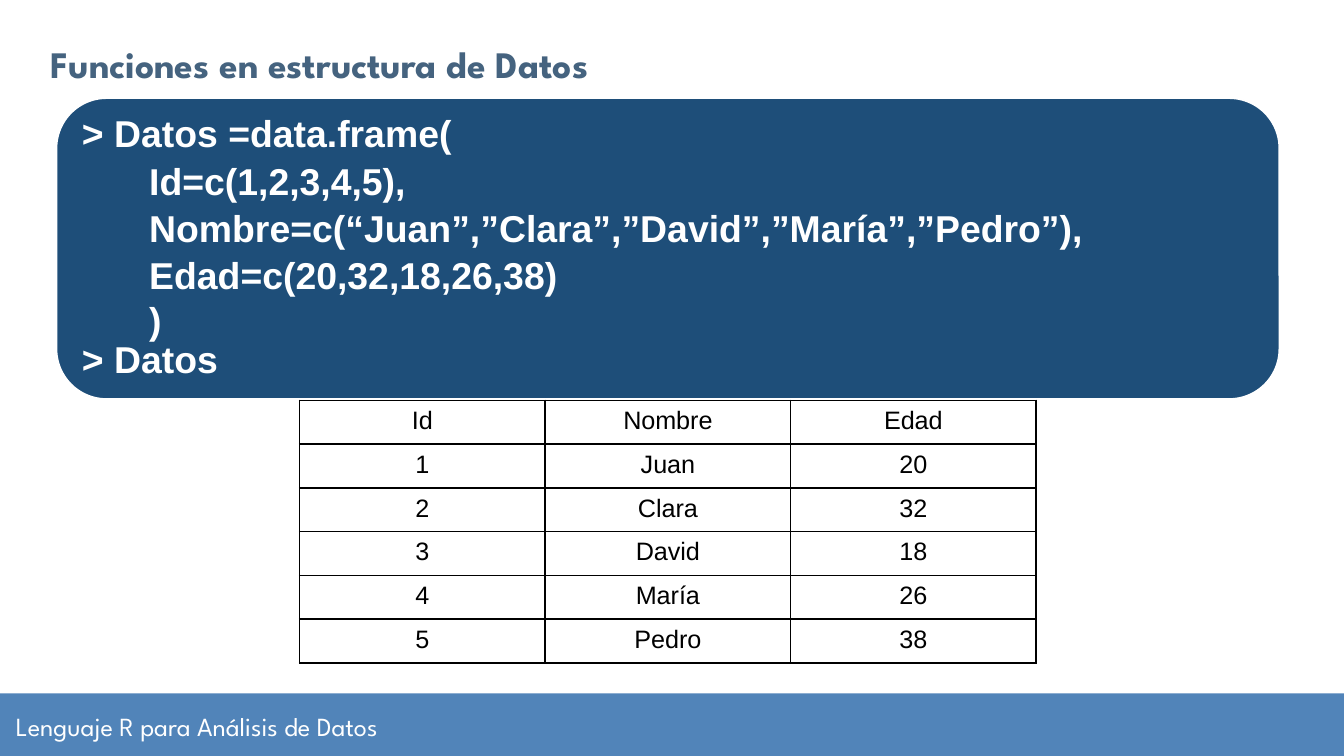
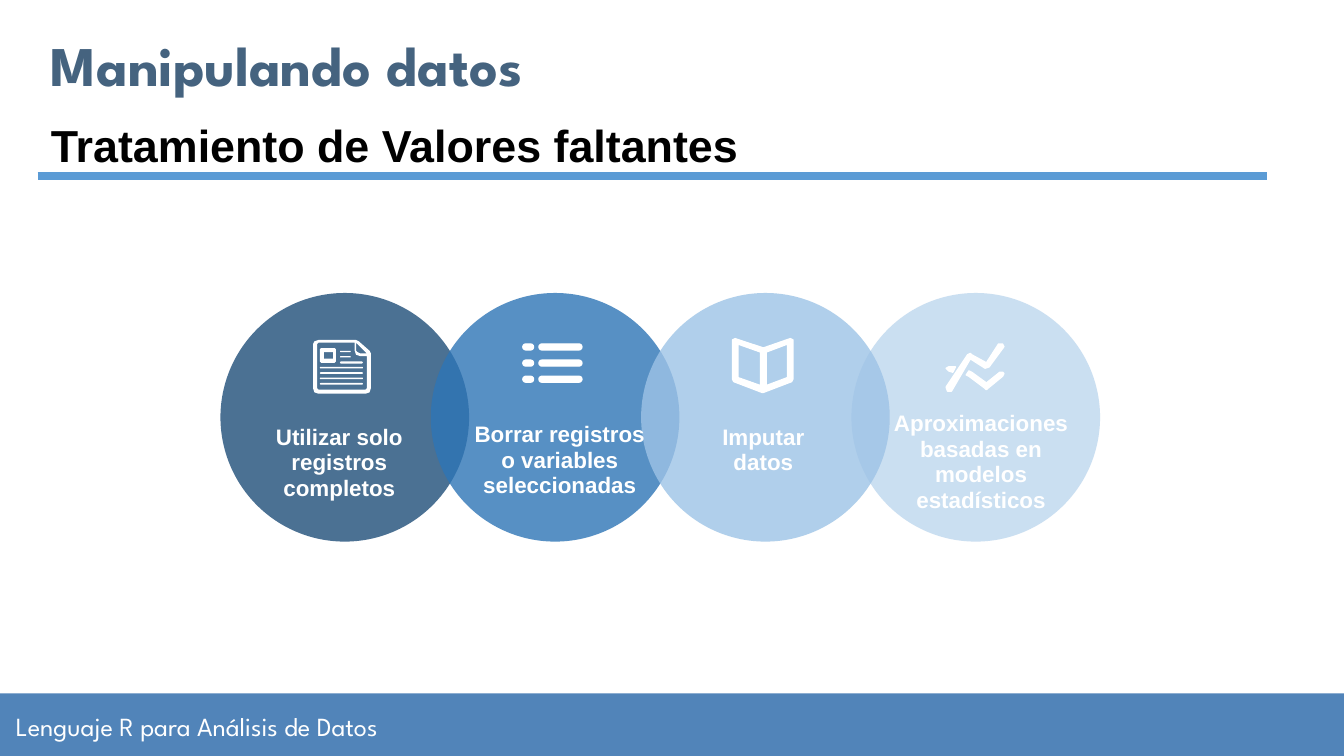
from dataclasses import dataclass
from typing import Any

from lxml.etree import SubElement as Sub
from pptx import Presentation
from pptx.dml.color import RGBColor as Rgb
from pptx.enum.shapes import MSO_CONNECTOR as Link, MSO_SHAPE as Kind
from pptx.enum.text import MSO_ANCHOR as Anchor, PP_ALIGN as Align
from pptx.oxml.ns import qn
from pptx.util import Emu, Inches, Pt

WIDE, HIGH = Inches(10), Inches(5.625)
CELL = WIDE / 100
DOT = WIDE / 1000
WHITE, BLACK = "FFFFFF", "000000"
BAND, TITLE, PANEL, RULE = "5184B9", "45637F", "1E4E79", "5B9BD5"
SANS, HEAD = "Arial", "League Spartan"

Point = tuple[float, float]
Box = tuple[float, float, float, float]


@dataclass
class Style:
    size: float
    color: str
    face: str = SANS
    bold: bool = True
    align: Any = Align.LEFT
    anchor: Any = Anchor.TOP
    inset: Point = (1, 0.5)


@dataclass
class Icon:
    spot: Point
    paths: tuple[tuple[Point, ...], ...] = ()
    bars: tuple[Box, ...] = ()
    edge: float = 0


@dataclass
class Disc:
    color: str
    box: Box
    lines: tuple[str, ...]
    icon: Icon


FOOT = Style(14, WHITE, HEAD, False, anchor=Anchor.MIDDLE, inset=(1, 1))
CODE = Style(20, WHITE, anchor=Anchor.MIDDLE, inset=(0.8, 0.8))
SUBHEAD = Style(24, BLACK)
NOTE = Style(12, WHITE, align=Align.CENTER, inset=(0.7, 0.4))
DATA = Style(13.5, BLACK, bold=False, align=Align.CENTER)

SCRIPT = (
    ("> Datos =data.frame(", 0.9),
    ("\tId=c(1,2,3,4,5),", 1.05),
    ("\tNombre=c(“Juan”,”Clara”,”David”,”María”,”Pedro”),", 1.05),
    ("\tEdad=c(20,32,18,26,38)", 1.05),
    ("\t)", 1.0),
    ("> Datos", 0.9),
)
PEOPLE = (
    ("Id", "Nombre", "Edad"),
    ("1", "Juan", "20"),
    ("2", "Clara", "32"),
    ("3", "David", "18"),
    ("4", "María", "26"),
    ("5", "Pedro", "38"),
)

NEWS = Icon(
    (23.3, 25.3),
    (
        ((4, 0), (32, 0), (34, 1), (42, 8), (43, 10), (43, 36), (42, 39),
         (39, 40), (4, 40), (1, 39), (0, 36), (0, 3), (1, 1)),
        ((3, 3), (4, 2), (31, 2), (31, 8), (32, 11), (35, 12), (40, 12),
         (40, 36), (39, 37), (4, 37), (3, 36)),
        ((32, 2), (40, 10), (35, 10), (33, 9), (32, 8)),
        ((6, 6), (16, 6), (17, 7), (17, 16), (16, 17), (6, 17), (5, 16), (5, 7)),
        ((8, 9), (15, 9), (15, 14), (8, 14)),
    ),
    ((20, 8, 8, 1), (20, 12, 8, 1), (20, 16, 17, 1.5),
     *((5, 20 + 4 * row, 32, 1.2) for row in range(4))),
)
LIST = Icon(
    (38.9, 25.6),
    bars=tuple((left, 12 * row, wide, 4.4)
               for row in range(3) for left, wide in ((0, 8), (12, 32))),
    edge=0.75,
)
BOOK = Icon(
    (54.5, 25.2),
    (
        ((0, 1), (2, 0), (23, 7), (43, 0), (45, 1), (45, 30), (44, 32),
         (23, 40), (22, 40), (1, 32), (0, 30)),
        ((21, 35), (21, 10), (4, 4), (4, 29)),
        ((41, 4), (25, 10), (25, 35), (41, 29)),
    ),
    edge=0.75,
)
TREND = Icon(
    (70.4, 25.5),
    (
        ((2, 21), (5, 22), (7, 18), (2, 18), (0, 19)),
        ((40, 22), (30, 30), (19, 22), (17, 21), (15, 24), (17, 25), (29, 34),
         (30, 35), (31, 34), (42, 25), (43, 23), (42, 22)),
        ((18, 12), (29, 19), (32, 18), (43, 3), (42, 1), (39, 1), (30, 15),
         (19, 9), (18, 8), (16, 9), (0, 33), (1, 36), (4, 36)),
    ),
    edge=0.75,
)
DISCS = (
    Disc("1F4E79", (17.9, 31.2, 14.7, 6.5),
         ("Utilizar solo registros completos",), NEWS),
    Disc("2E75B6", (34.4, 31, 14.5, 6.5),
         ("Borrar registros o variables seleccionadas",), LIST),
    Disc("9DC3E6", (49.8, 31.2, 14, 4.6), ("Imputar", "datos"), BOOK),
    Disc("BDD7EE", (65, 30.2, 16, 8.4),
         ("Aproximaciones basadas en modelos estadísticos",), TREND),
)
STACK = (0, 1, 3, 2)


def grid(*units: float) -> list[Emu]:
    return [Emu(round(unit * CELL)) for unit in units]


def tint(code: str) -> Rgb:
    return Rgb.from_string(code)


def paint(shape: Any, code: str, edge: float = 0, alpha: int = 100) -> None:
    shape.shadow.inherit = False
    shape.fill.solid()
    shape.fill.fore_color.rgb = tint(code)
    if alpha < 100:
        node = shape.element.spPr.find(".//" + qn("a:srgbClr"))
        Sub(node, qn("a:alpha"), val=str(alpha * 1000))
    if edge:
        shape.line.color.rgb = tint(WHITE)
        shape.line.width = Pt(edge)
    else:
        shape.line.fill.background()


def block(slide: Any, kind: Any, box: Box, code: str,
          edge: float = 0, alpha: int = 100) -> Any:
    shape = slide.shapes.add_shape(kind, *grid(*box))
    paint(shape, code, edge, alpha)
    return shape


def dress(par: Any, style: Style, space: float = 1) -> None:
    par.alignment = style.align
    if space != 1:
        par.line_spacing = space
    font = par.font
    font.size, font.name, font.bold = Pt(style.size), style.face, style.bold
    font.color.rgb = tint(style.color)


def label(slide: Any, box: Box, lines: tuple[tuple[str, float], ...],
          style: Style) -> None:
    frame = slide.shapes.add_textbox(*grid(*box)).text_frame
    frame.word_wrap = True
    frame.vertical_anchor = style.anchor
    side, top = grid(*style.inset)
    frame.margin_left = frame.margin_right = side
    frame.margin_top = frame.margin_bottom = top
    frame.text = "\n".join(text for text, _ in lines)
    for par, (_, space) in zip(frame.paragraphs, lines):
        dress(par, style, space)


def page(deck: Any, title: str, size: float, wide: float) -> Any:
    slide = deck.slides.add_slide(deck.slide_layouts[6])
    block(slide, Kind.RECTANGLE, (0, 51.6, 100, 4.65), BAND)
    label(slide, (0.2, 51.7, 49.7, 4.7),
          (("Lenguaje R para Análisis de Datos", 1),), FOOT)
    style = Style(size, TITLE, HEAD, anchor=Anchor.MIDDLE, inset=(1, 1))
    label(slide, (2.8, 2.2, wide, 5.1), ((title, 1),), style)
    return slide


def border(cell: Any) -> None:
    props = cell._tc.get_or_add_tcPr()
    for at, side in enumerate(("lnL", "lnR", "lnT", "lnB")):
        line = props.makeelement(qn("a:" + side), {"w": str(Pt(1))})
        Sub(Sub(line, qn("a:solidFill")), qn("a:srgbClr"), val=BLACK)
        props.insert(at, line)


def table(slide: Any, box: Box, rows: tuple[tuple[str, ...], ...]) -> None:
    area = slide.shapes.add_table(len(rows), len(rows[0]), *grid(*box))
    body = area.table
    body.first_row = body.horz_banding = False
    for r, row in enumerate(rows):
        for c, text in enumerate(row):
            cell = body.cell(r, c)
            cell.text = text
            cell.fill.background()
            dress(cell.text_frame.paragraphs[0], DATA)
            border(cell)


def draw(slide: Any, icon: Icon) -> None:
    x, y = icon.spot
    if icon.paths:
        first, *rest = icon.paths
        pen = slide.shapes.build_freeform(*first[0], scale=DOT)
        pen.add_line_segments(first[1:])
        for path in rest:
            pen.move_to(*path[0])
            pen.add_line_segments(path[1:])
        paint(pen.convert_to_shape(*grid(x, y)), WHITE, icon.edge)
    for left, top, wide, high in icon.bars:
        box = (x + left / 10, y + top / 10, wide / 10, high / 10)
        bar = block(slide, Kind.ROUNDED_RECTANGLE, box, WHITE, icon.edge)
        bar.adjustments[0] = 0.5


def rule(slide: Any, left: float, right: float, top: float) -> None:
    line = slide.shapes.add_connector(Link.STRAIGHT, *grid(left, top, right, top))
    line.line.color.rgb = tint(RULE)
    line.line.width = Pt(4.5)
    Sub(line.element.spPr, qn("a:effectLst"))


def frames(deck: Any) -> None:
    slide = page(deck, "Funciones en estructura de Datos", 20, 85.6)
    block(slide, Kind.ROUNDED_RECTANGLE, (4.2, 7.3, 91, 22.4), PANEL, 1)
    label(slide, (5.3, 8.4, 88.8, 20.2), SCRIPT, CODE)
    table(slide, (22.3, 29.8, 54.8, 18.75), PEOPLE)


def missing(deck: Any) -> None:
    slide = page(deck, "Manipulando datos", 30, 65.9)
    label(slide, (2.8, 8.3, 93.5, 5),
          (("Tratamiento de Valores faltantes", 1),), SUBHEAD)
    rule(slide, 2.8, 94.3, 13.1)
    for spot in STACK:
        box = (16.4 + 15.65 * spot, 21.8, 18.5, 18.5)
        block(slide, Kind.OVAL, box, DISCS[spot].color, alpha=80)
    for disc in DISCS:
        label(slide, disc.box, tuple((text, 0.95) for text in disc.lines), NOTE)
        draw(slide, disc.icon)


def main() -> None:
    deck = Presentation()
    deck.slide_width, deck.slide_height = WIDE, HIGH
    frames(deck)
    missing(deck)
    deck.save("out.pptx")


if __name__ == "__main__":
    main()
